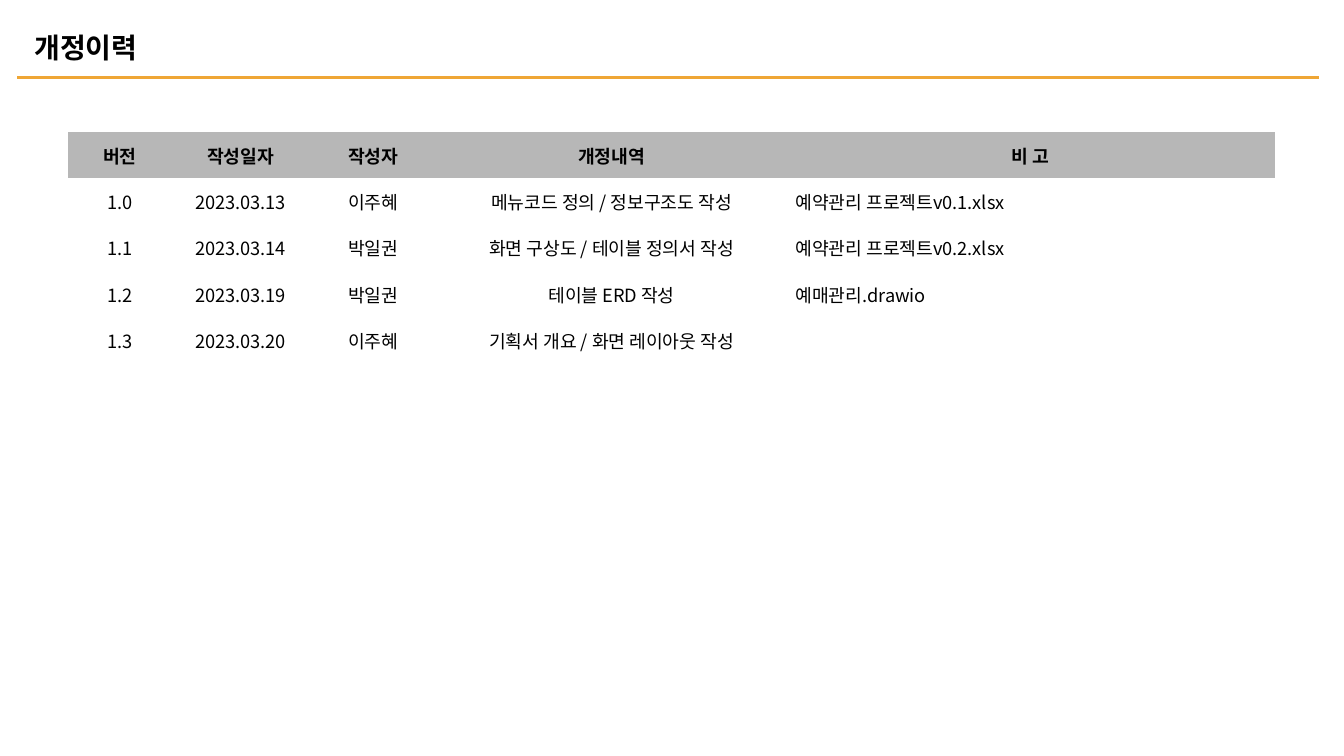
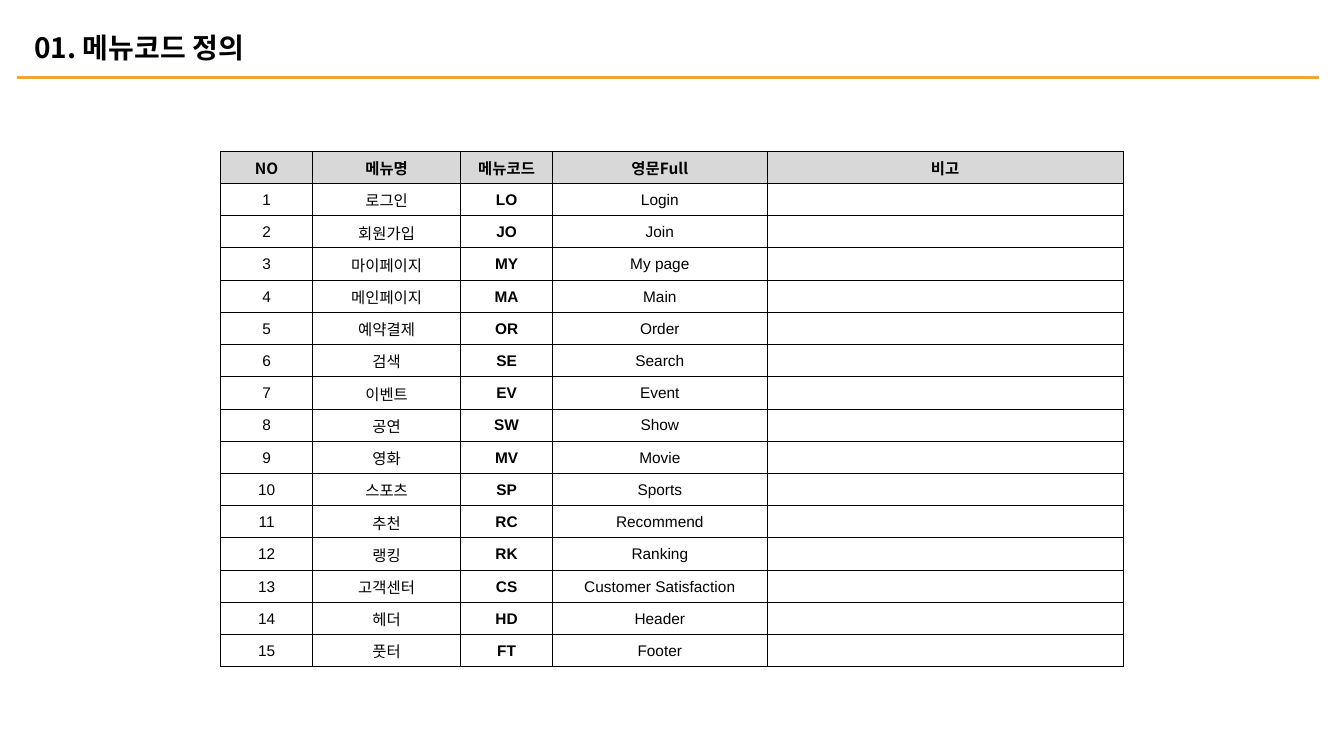
from lxml import etree
from pptx import Presentation
from pptx.dml.color import RGBColor
from pptx.enum.shapes import MSO_CONNECTOR
from pptx.enum.text import MSO_ANCHOR, MSO_AUTO_SIZE, PP_ALIGN
from pptx.oxml.ns import qn
from pptx.util import Inches, Pt

LEFT, CENTER = PP_ALIGN.LEFT, PP_ALIGN.CENTER
MIDDLE = MSO_ANCHOR.MIDDLE
NO_AUTOFIT = MSO_AUTO_SIZE.NONE
STRAIGHT = MSO_CONNECTOR.STRAIGHT

KOREAN_FONT, LATIN_FONT = "Noto Sans CJK KR", "Arial"
BLACK, ORANGE = "000000", "EFA635"
HISTORY_HEADER, MENU_HEADER = "B7B7B7", "D8D8D8"
NO_STYLE_NO_GRID = "{2D5ABB26-0587-4C30-8999-92F81FD0307C}"
TITLE_ONLY = 5

HISTORY = [
    ("버전", "작성일자", "작성자", "개정내역", "비 고"),
    ("1.0", "2023.03.13", "이주혜", "메뉴코드 정의 / 정보구조도 작성", "예약관리 프로젝트v0.1.xlsx"),
    ("1.1", "2023.03.14", "박일권", "화면 구상도 / 테이블 정의서 작성", "예약관리 프로젝트v0.2.xlsx"),
    ("1.2", "2023.03.19", "박일권", "테이블 ERD 작성", "예매관리.drawio"),
    ("1.3", "2023.03.20", "이주혜", "기획서 개요 / 화면 레이아웃 작성", ""),
]
HISTORY_SPARE_ROWS = 7

MENU_COLUMNS = ("NO", "메뉴명", "메뉴코드", "영문Full", "비고")
MENUS = [
    ("로그인", "LO", "Login"),
    ("회원가입", "JO", "Join"),
    ("마이페이지", "MY", "My page"),
    ("메인페이지", "MA", "Main"),
    ("예약결제", "OR", "Order"),
    ("검색", "SE", "Search"),
    ("이벤트", "EV", "Event"),
    ("공연", "SW", "Show"),
    ("영화", "MV", "Movie"),
    ("스포츠", "SP", "Sports"),
    ("추천", "RC", "Recommend"),
    ("랭킹", "RK", "Ranking"),
    ("고객센터", "CS", "Customer Satisfaction"),
    ("헤더", "HD", "Header"),
    ("풋터", "FT", "Footer"),
]


def rgb(color):
    return RGBColor.from_string(color)


def write(frame, text, size, font=KOREAN_FONT, bold=False, align=LEFT, spacing=None):
    paragraph = frame.paragraphs[0]
    paragraph.alignment = align
    paragraph.line_spacing = spacing
    run = paragraph.add_run()
    run.text = text
    run.font.size = Pt(size)
    run.font.bold = bold
    run.font.name = font
    run.font.color.rgb = rgb(BLACK)
    # Hangul takes its typeface from a:ea, which follows a:latin
    east_asian = etree.Element(qn("a:ea"), typeface=KOREAN_FONT)
    run.font._element.find(qn("a:latin")).addnext(east_asian)


def set_margins(target, margins):
    (target.margin_left, target.margin_top,
     target.margin_right, target.margin_bottom) = map(Inches, margins)


def add_borders(cell, color, width):
    properties = cell._tc.get_or_add_tcPr()
    for side in ("lnL", "lnR", "lnT", "lnB"):
        line = etree.SubElement(properties, qn(f"a:{side}"), w=str(Pt(width)))
        fill = etree.SubElement(line, qn("a:solidFill"))
        etree.SubElement(fill, qn("a:srgbClr"), val=color)


def style_layout(layout):
    """Place the shared title area."""
    title = layout.placeholders[0]
    title.left, title.top = Inches(0.24), Inches(0.28)
    title.width, title.height = Inches(8.38), Inches(0.42)
    frame = title.text_frame
    set_margins(frame, (0.1, 0.02, 0.02, 0.02))
    frame.vertical_anchor = MIDDLE
    frame.auto_size = NO_AUTOFIT


def add_title_rule(slide):
    """Draw the line under the title and move it to the shared layout."""
    rule = slide.shapes.add_connector(
        STRAIGHT, Inches(0.17), Inches(0.77), Inches(13.08), Inches(0.77))
    rule.line.color.rgb = rgb(ORANGE)
    rule.line.width = Pt(1.75)
    etree.SubElement(rule._element.spPr, qn("a:effectLst"))
    slide.slide_layout.shapes.element.append(rule._element)


def add_titled_slide(deck, title):
    slide = deck.slides.add_slide(deck.slide_layouts[TITLE_ONLY])
    write(slide.shapes.title.text_frame, title, 20, bold=True, spacing=0.9)
    return slide


def add_grid(slide, rows, left, top, widths, row_height, size, margins, header_fill,
             body_font=KOREAN_FONT, bold_column=None, left_column=None, border=None):
    """Add a table whose first row is a filled, bold header."""
    table = slide.shapes.add_table(
        len(rows), len(widths), Inches(left), Inches(top),
        Inches(sum(widths)), Inches(row_height * len(rows))).table
    table._tbl.tblPr.find(qn("a:tableStyleId")).text = NO_STYLE_NO_GRID
    table.first_row = table.horz_banding = False
    for column, width in zip(table.columns, widths):
        column.width = Inches(width)
    for r, texts in enumerate(rows):
        table.rows[r].height = Inches(row_height)
        header = r == 0
        for c, text in enumerate(texts):
            cell = table.cell(r, c)
            set_margins(cell, margins)
            cell.vertical_anchor = MIDDLE
            if border:
                add_borders(cell, border, 0.75)
            if header:
                cell.fill.solid()
                cell.fill.fore_color.rgb = rgb(header_fill)
            else:
                cell.fill.background()
            if text:
                write(cell.text_frame, text, size,
                      font=KOREAN_FONT if header else body_font,
                      bold=header or c == bold_column,
                      align=LEFT if c == left_column and not header else CENTER)


def main():
    deck = Presentation()
    deck.slide_width, deck.slide_height = Inches(13.33), Inches(7.5)
    style_layout(deck.slide_layouts[TITLE_ONLY])

    history = add_titled_slide(deck, "개정이력")
    add_title_rule(history)
    spare_rows = [("",) * len(HISTORY[0])] * HISTORY_SPARE_ROWS
    add_grid(history, HISTORY + spare_rows, 0.67, 1.31, (1.04, 1.35, 1.28, 3.45, 4.86),
             0.46, 13, (0.1, 0.06, 0.1, 0.06), HISTORY_HEADER, left_column=4)

    menu_codes = add_titled_slide(deck, "01. 메뉴코드 정의")
    menu_rows = [(str(number), *menu, "") for number, menu in enumerate(MENUS, 1)]
    add_grid(menu_codes, [MENU_COLUMNS] + menu_rows, 2.19, 1.5,
             (0.91, 1.47, 0.91, 2.13, 3.53), 0.32, 11, (0.01, 0.01, 0.01, 0),
             MENU_HEADER, body_font=LATIN_FONT, bold_column=2, border=BLACK)

    deck.save("out.pptx")


if __name__ == "__main__":
    main()
